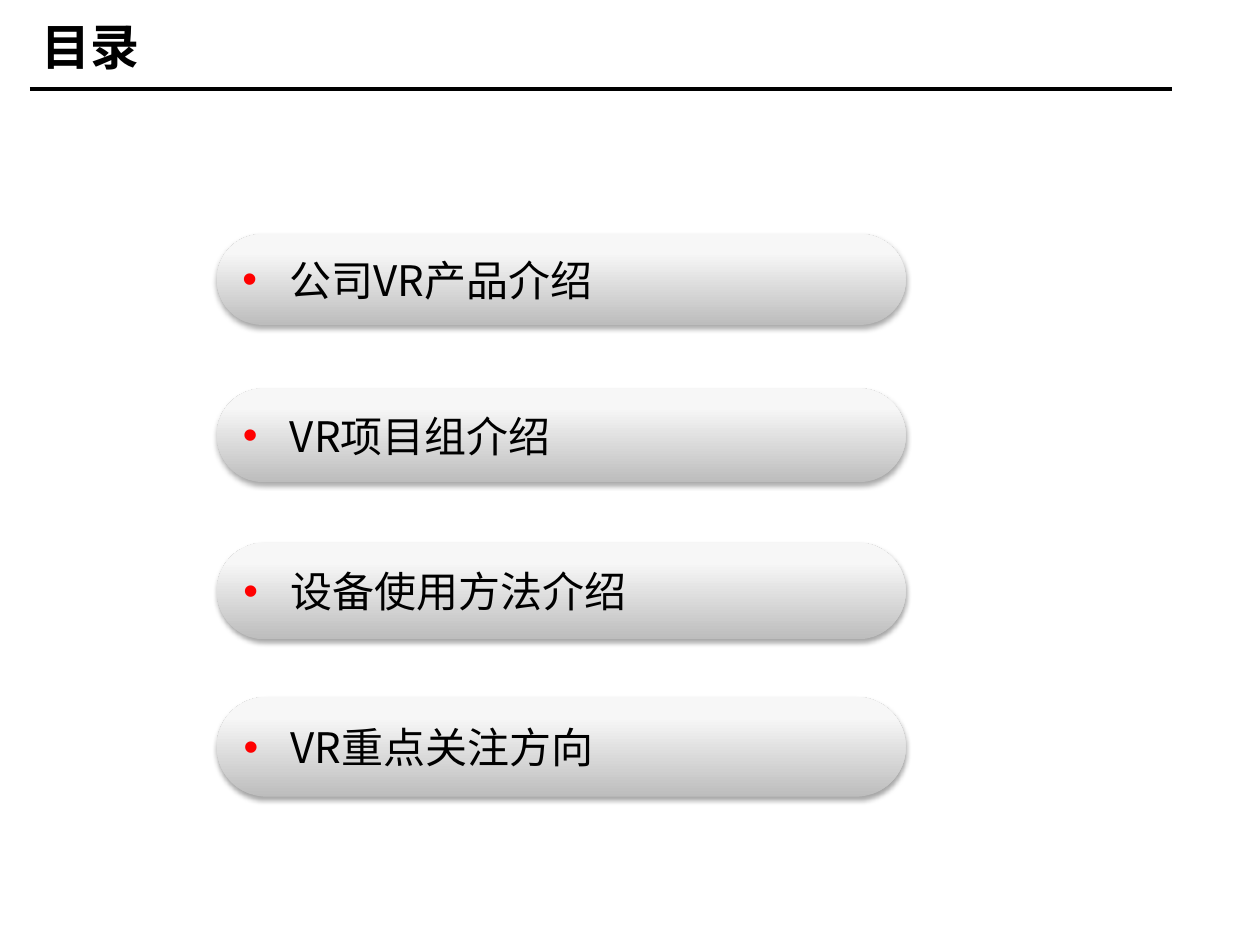
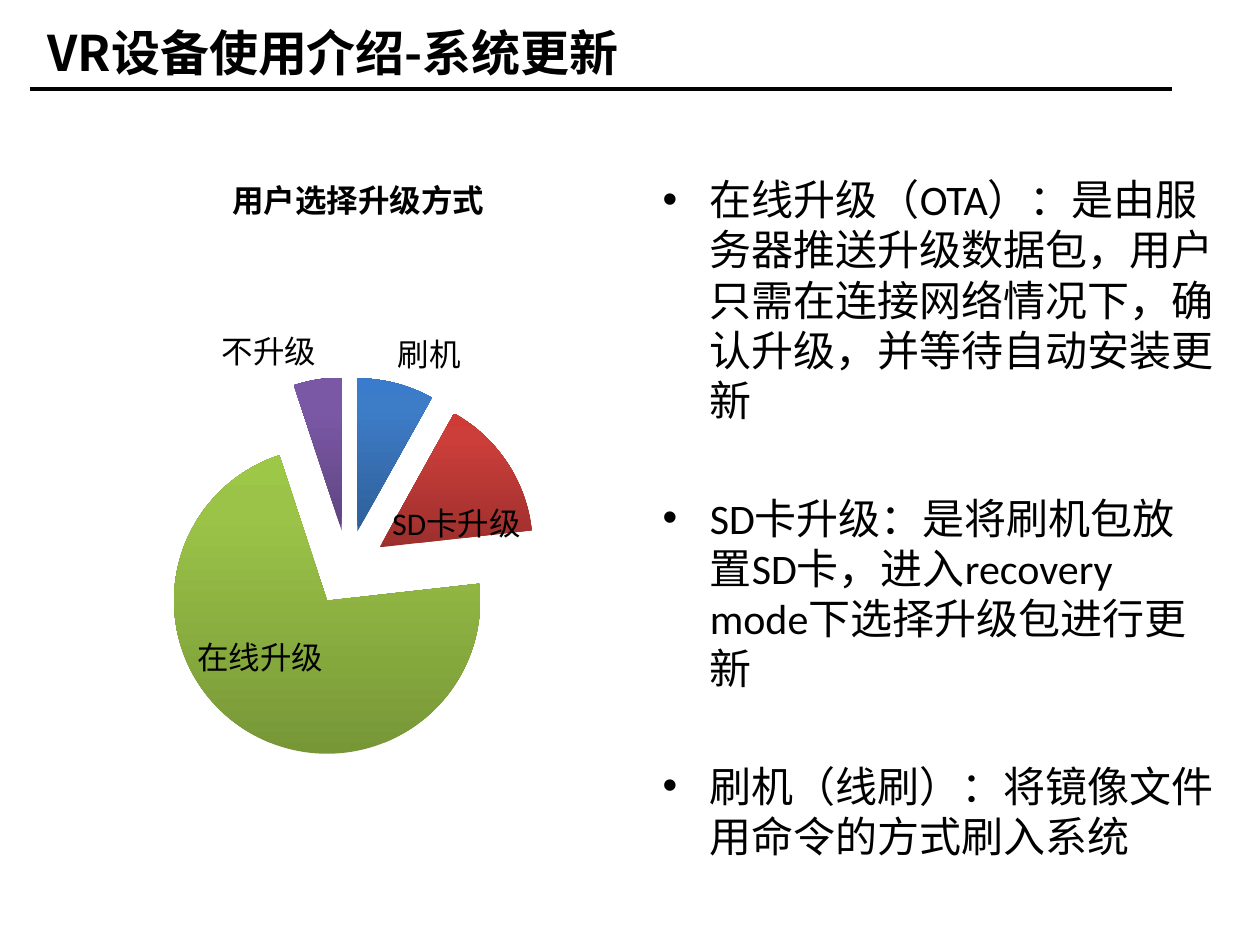
from lxml.etree import SubElement
from pptx import Presentation
from pptx.chart.data import CategoryChartData
from pptx.dml.color import RGBColor
from pptx.enum.chart import XL_CHART_TYPE, XL_LABEL_POSITION
from pptx.enum.shapes import MSO_CONNECTOR, MSO_SHAPE
from pptx.enum.text import MSO_ANCHOR, PP_ALIGN
from pptx.oxml import parse_xml
from pptx.oxml.ns import qn
from pptx.util import Cm, Pt

BLACK = RGBColor(0x00, 0x00, 0x00)
RED = RGBColor(0xFF, 0x00, 0x00)
PILL_GRADIENT = [RGBColor(0xBD, 0xBD, 0xBD), RGBColor(0xF7, 0xF7, 0xF7), RGBColor(0xF8, 0xF8, 0xF8)]
SLICE_GRADIENTS = [
    [RGBColor(0x2F, 0x5F, 0x99), RGBColor(0x3D, 0x7C, 0xC7), RGBColor(0x3A, 0x7C, 0xCB)],
    [RGBColor(0x9C, 0x2F, 0x2D), RGBColor(0xCB, 0x3E, 0x3A), RGBColor(0xCE, 0x3B, 0x37)],
    [RGBColor(0x77, 0x97, 0x37), RGBColor(0x9B, 0xC3, 0x48), RGBColor(0x9D, 0xC7, 0x46)],
    [RGBColor(0x5F, 0x44, 0x80), RGBColor(0x7B, 0x58, 0xA6), RGBColor(0x7C, 0x57, 0xA8)],
]
GRADIENT_STOPS = [0, 80000, 100000]
CJK_FONT = "Noto Sans CJK SC"
LATIN_FONT = "Calibri"
DRAWING = 'xmlns:a="http://schemas.openxmlformats.org/drawingml/2006/main"'

AGENDA_TITLE = "目录"
AGENDA = ["公司VR产品介绍", "VR项目组介绍", "设备使用方法介绍", "VR重点关注方向"]

UPDATE_TITLE = "VR设备使用介绍-系统更新"
UPDATE_METHODS = [
    "在线升级（OTA）：是由服务器推送升级数据包，用户只需在连接网络情况下，确认升级，并等待自动安装更新",
    "SD卡升级：是将刷机包放置SD卡，进入recovery mode下选择升级包进行更新",
    "刷机（线刷）：将镜像文件用命令的方式刷入系统",
]
CHART_TITLE = "用户选择升级方式"
SHARES = {"刷机": 8, "SD卡升级": 15, "在线升级": 71, "不升级": 5}


def style_font(font, name, size, bold=False):
    font.name, font.size, font.bold = name, Pt(size), bold
    font.color.rgb = BLACK


def style_paragraph(para, name, size, bold=False):
    para.alignment = PP_ALIGN.LEFT
    for span in para.runs:
        style_font(span.font, name, size, bold)
        SubElement(span.font._element, qn("a:ea"), typeface=CJK_FONT)


def add_bullet(para, color):
    properties = para._p.get_or_add_pPr()
    properties.set("marL", str(Cm(0.95)))
    properties.set("indent", str(-Cm(0.95)))
    bullet_color = SubElement(properties, qn("a:buClr"))
    SubElement(bullet_color, qn("a:srgbClr"), val=str(color))
    SubElement(properties, qn("a:buFont"), typeface="Arial")
    SubElement(properties, qn("a:buChar"), char="•")


def fill_gradient(fill, properties, colors):
    fill.solid()
    stops = "".join(
        f'<a:gs pos="{position}"><a:srgbClr val="{color}"/></a:gs>'
        for position, color in zip(GRADIENT_STOPS, colors))
    gradient = parse_xml(
        f'<a:gradFill {DRAWING} rotWithShape="1"><a:gsLst>{stops}</a:gsLst>'
        '<a:lin ang="16200000" scaled="0"/></a:gradFill>')
    properties.replace(properties.find(qn("a:solidFill")), gradient)


def add_page(deck, title, left, top, width, height):
    page = deck.slides.add_slide(deck.slide_layouts[6])
    rule = page.shapes.add_connector(MSO_CONNECTOR.STRAIGHT, Cm(0.6), Cm(1.79), Cm(23.62), Cm(1.79))
    rule.line.color.rgb = BLACK
    rule.line.width = Pt(2)
    SubElement(rule._element.spPr, qn("a:effectLst"))
    box = page.shapes.add_textbox(Cm(left), Cm(top), Cm(width), Cm(height))
    box.text_frame.word_wrap = True
    box.text_frame.text = title
    style_paragraph(box.text_frame.paragraphs[0], CJK_FONT, 28, True)
    return page


def add_pill(shapes, text, top, height):
    pill = shapes.add_shape(MSO_SHAPE.ROUNDED_RECTANGLE, Cm(4.37), Cm(top), Cm(13.89), Cm(height))
    pill.adjustments[0] = 0.5
    properties = pill._element.spPr
    fill_gradient(pill.fill, properties, PILL_GRADIENT)
    pill.line.fill.background()
    properties.append(parse_xml(
        f'<a:effectLst {DRAWING}><a:outerShdw blurRad="{Pt(3.1)}" dist="{Pt(1.8)}" dir="5400000" rotWithShape="0">'
        '<a:srgbClr val="000000"><a:alpha val="35000"/></a:srgbClr></a:outerShdw></a:effectLst>'))
    frame = pill.text_frame
    frame.word_wrap = False
    frame.vertical_anchor = MSO_ANCHOR.MIDDLE
    frame.text = text
    style_paragraph(frame.paragraphs[0], CJK_FONT, 24)
    add_bullet(frame.paragraphs[0], RED)


def add_methods(page):
    box = page.shapes.add_textbox(Cm(13.11), Cm(3.38), Cm(11.63), Cm(13.89))
    frame = box.text_frame
    frame.word_wrap = True
    frame.text = "\n".join(UPDATE_METHODS)
    for index, para in enumerate(frame.paragraphs):
        style_paragraph(para, LATIN_FONT, 24)
        para.line_spacing = Pt(28.7)
        para.space_before = Pt(38.5 if index else 2)
        add_bullet(para, BLACK)


def add_share_chart(page):
    data = CategoryChartData()
    data.categories = list(SHARES)
    data.add_series(CHART_TITLE, list(SHARES.values()))
    chart = page.shapes.add_chart(
        XL_CHART_TYPE.PIE, Cm(1.57), Cm(2.97), Cm(11.3), Cm(12.7), data).chart
    style_font(chart.font, LATIN_FONT, 18)
    chart.has_legend = False
    chart.has_title = True
    chart.chart_title.text_frame.text = CHART_TITLE
    style_font(chart.chart_title.text_frame.paragraphs[0].runs[0].font, LATIN_FONT, 18, True)
    plot = chart.plots[0]
    plot.vary_by_categories = True
    series = plot.series[0]
    for index, colors in enumerate(SLICE_GRADIENTS):
        slice_format = series.points[index].format
        slice_format.fill.solid()
        properties = series._element.findall(qn("c:dPt"))[index].find(qn("c:spPr"))
        fill_gradient(slice_format.fill, properties, colors)
        explosion = properties.makeelement(qn("c:explosion"), {"val": "25"})
        properties.addprevious(explosion)
    plot.has_data_labels = True
    labels = plot.data_labels
    labels.show_category_name = True
    labels.show_value = False
    labels.show_percentage = False
    labels.position = XL_LABEL_POSITION.BEST_FIT
    style_font(labels.font, LATIN_FONT, 18)


deck = Presentation()
deck.slide_width, deck.slide_height = Cm(25.4), Cm(19.05)

agenda_page = add_page(deck, AGENDA_TITLE, 0.58, 0.2, 6.93, 1.45)
pills = agenda_page.shapes.add_group_shape().shapes
for index, topic in enumerate(AGENDA):
    add_pill(pills, topic, 4.72 + 3.11 * index, 1.83 + 0.06 * index)

update_page = add_page(deck, UPDATE_TITLE, 0.71, 0.33, 13, 2.24)
add_methods(update_page)
add_share_chart(update_page)

deck.save("out.pptx")
